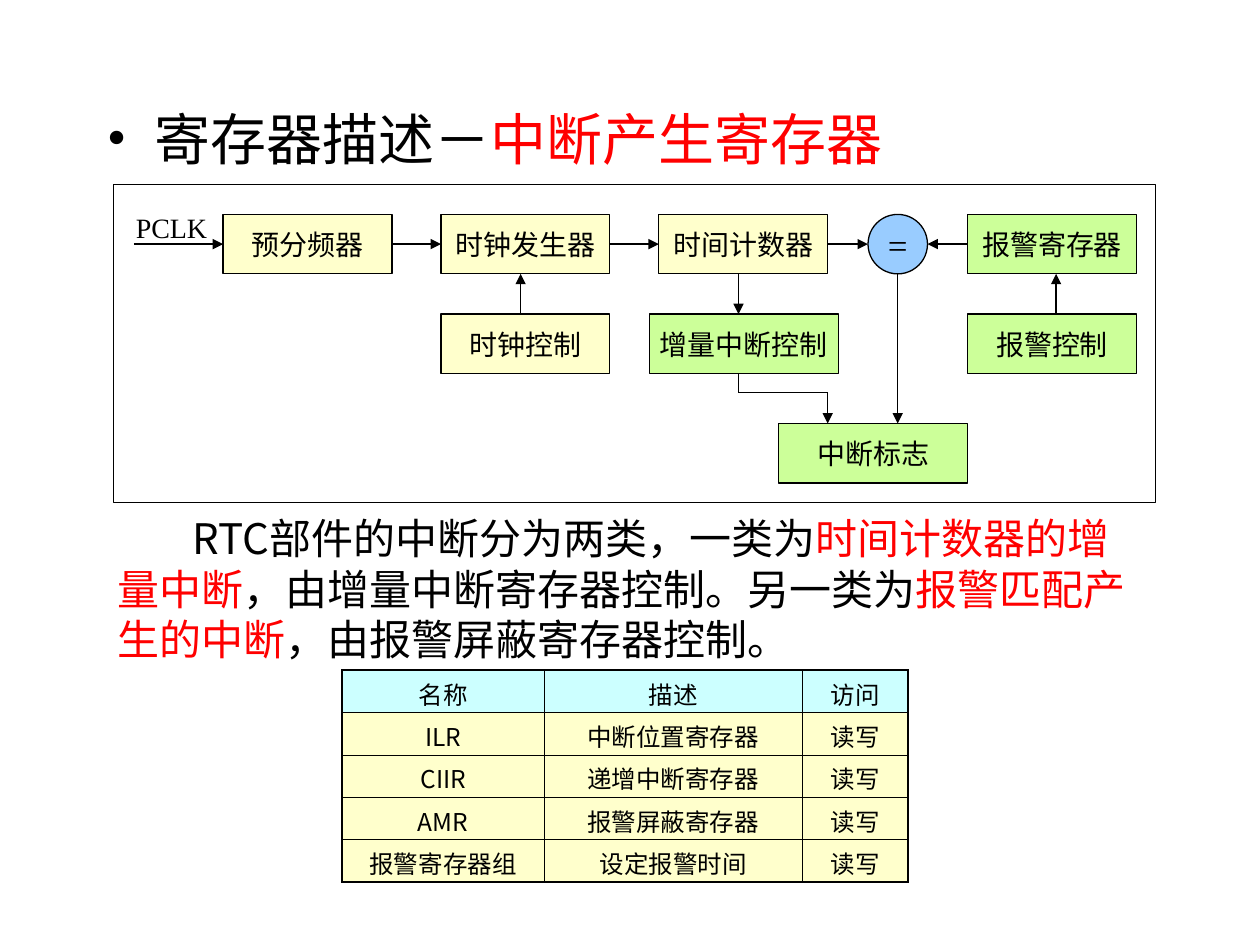
"""Build the slide on the RTC interrupt registers with python-pptx."""
from lxml import etree
from pptx import Presentation
from pptx.dml.color import RGBColor
from pptx.enum.shapes import MSO_CONNECTOR, MSO_SHAPE
from pptx.enum.text import MSO_ANCHOR, PP_ALIGN
from pptx.oxml.ns import qn
from pptx.util import Pt

STRAIGHT = MSO_CONNECTOR.STRAIGHT
RECTANGLE, OVAL = MSO_SHAPE.RECTANGLE, MSO_SHAPE.OVAL
MIDDLE = MSO_ANCHOR.MIDDLE
LEFT, CENTER = PP_ALIGN.LEFT, PP_ALIGN.CENTER
BLACK = RGBColor(0x00, 0x00, 0x00)
RED = RGBColor(0xFF, 0x00, 0x00)
YELLOW = RGBColor(0xFF, 0xFF, 0xCC)
GREEN = RGBColor(0xCC, 0xFF, 0x99)
BLUE = RGBColor(0x99, 0xCC, 0xFF)
CYAN = RGBColor(0xCC, 0xFF, 0xFF)
SERIF, SANS, SANS_BODY = "Times New Roman", "Noto Sans CJK SC", "Noto Sans CJK JP"


def write(frame, spans, font_format, align=LEFT, spacing=None):
    para = frame.paragraphs[0]
    para.alignment = align
    para.line_spacing = spacing
    for text, color in spans:
        span = para.add_run()
        span.text = text
        for name, value in font_format.items():
            setattr(span.font, name, value)
        span.font.color.rgb = color
        east = SANS if font_format["name"] == SERIF else font_format["name"]
        etree.SubElement(span._r.get_or_add_rPr(), qn("a:ea"), typeface=east)
    return para


def draw_line(start, end, arrow=True):
    line = slide.shapes.add_connector(STRAIGHT, *map(Pt, start + end))
    line.line.color.rgb = BLACK
    line.line.width = Pt(0.75)
    if arrow:
        etree.SubElement(line.line._get_or_add_ln(), qn("a:tailEnd"), type="triangle")
    etree.SubElement(line._element.spPr, qn("a:effectLst"))
    return line


deck = Presentation()
deck.slide_width, deck.slide_height = Pt(720), Pt(540)
slide = deck.slides.add_slide(deck.slide_layouts[6])

BOX_WIDTH, WIDE_WIDTH, BOX_HEIGHT = 96.5, 108, 34
TOP_ROW, MIDDLE_ROW, BOTTOM_ROW = 122.5, 179.5, 242
AXIS = TOP_ROW + BOX_HEIGHT / 2
TOP_END, MIDDLE_END = TOP_ROW + BOX_HEIGHT, MIDDLE_ROW + BOX_HEIGHT
PRESCALER, CLOCK, COUNTER, ALARM = 127.5, 252, 376.5, 553
EQUAL = 496

blocks = [
    ("预分频器", RECTANGLE, PRESCALER, TOP_ROW, BOX_WIDTH, YELLOW, 16),
    ("时钟发生器", RECTANGLE, CLOCK, TOP_ROW, BOX_WIDTH, YELLOW, 16),
    ("时间计数器", RECTANGLE, COUNTER, TOP_ROW, BOX_WIDTH, YELLOW, 16),
    ("=", OVAL, EQUAL, TOP_ROW, BOX_HEIGHT, BLUE, 20),
    ("报警寄存器", RECTANGLE, ALARM, TOP_ROW, BOX_WIDTH, GREEN, 16),
    ("时钟控制", RECTANGLE, CLOCK, MIDDLE_ROW, BOX_WIDTH, YELLOW, 16),
    ("增量中断控制", RECTANGLE, 371, MIDDLE_ROW, WIDE_WIDTH, GREEN, 16),
    ("报警控制", RECTANGLE, ALARM, MIDDLE_ROW, BOX_WIDTH, GREEN, 16),
    ("中断标志", RECTANGLE, 445, BOTTOM_ROW, WIDE_WIDTH, GREEN, 16),
    ("", RECTANGLE, 65, 105.5, 595.5, None, 16),
]
boxes = {}
for label, kind, left, top, width, color, size in blocks:
    height = BOX_HEIGHT if label else 181.5
    box = slide.shapes.add_shape(kind, Pt(left), Pt(top), Pt(width), Pt(height))
    box.shadow.inherit = False
    box.line.color.rgb = BLACK
    box.line.width = Pt(0.75)
    if color is None:
        box.fill.background()
        continue
    box.fill.solid()
    box.fill.fore_color.rgb = color
    box.text_frame.word_wrap = False
    box.text_frame.vertical_anchor = MIDDLE
    write(box.text_frame, [(label, BLACK)], {"name": SERIF, "size": Pt(size)}, CENTER)
    boxes[label] = box

flows = [
    (76.5, PRESCALER, None, "预分频器", 1),
    (PRESCALER + BOX_WIDTH, CLOCK, "预分频器", "时钟发生器", 1),
    (CLOCK + BOX_WIDTH, COUNTER, "时钟发生器", "时间计数器", 1),
    (COUNTER + BOX_WIDTH, EQUAL, "时间计数器", None, None),
    (ALARM, EQUAL + BOX_HEIGHT, "报警寄存器", None, None),
]
for start, end, source, target, target_side in flows:
    line = draw_line((start, AXIS), (end, AXIS))
    if source:
        line.begin_connect(boxes[source], 3 if start < end else 1)
    if target:
        line.end_connect(boxes[target], target_side)

INCREMENT, FLAG, BEND = 422, 473, 224.5
for start, end, arrow in [
    ((297.5, MIDDLE_ROW), (297.5, TOP_END), True),
    ((603.5, MIDDLE_ROW), (603.5, TOP_END), True),
    ((INCREMENT, TOP_END), (INCREMENT, MIDDLE_ROW), True),
    ((513, TOP_END), (513, BOTTOM_ROW), True),
    ((INCREMENT, MIDDLE_END), (INCREMENT, BEND), False),
    ((INCREMENT, BEND), (FLAG, BEND), False),
    ((FLAG, BEND), (FLAG, BOTTOM_ROW), True),
]:
    draw_line(start, end, arrow)

texts = [
    ((54, 56, 590, 48), [("寄存器描述－", BLACK), ("中断产生寄存器", RED)], SERIF, 32, 38.4),
    ((70.5, 116.5, 57, 26.5), [("PCLK", BLACK)], SERIF, 16, None),
    ((60, 289.5, 600.5, 93.5), [
        ("RTC部件的中断分为两类，一类为", BLACK),
        ("时间计数器的增量中断", RED),
        ("，由增量中断寄存器控制。另一类为", BLACK),
        ("报警匹配产生的中断", RED),
        ("，由报警屏蔽寄存器控制。", BLACK),
    ], SANS_BODY, 24, 28.8),
]
paras = []
for place, spans, font, size, spacing in texts:
    box = slide.shapes.add_textbox(*map(Pt, place))
    box.text_frame.word_wrap = True
    font_format = {"name": font, "size": Pt(size)}
    paras.append(write(box.text_frame, spans, font_format, LEFT, spacing and Pt(spacing)))

title, _, body = paras
body._p.get_or_add_pPr().set("indent", str(Pt(43)))
properties = title._p.get_or_add_pPr()
properties.set("marL", str(Pt(27)))
properties.set("indent", str(Pt(-27)))
bullet_color = etree.SubElement(properties, qn("a:buClr"))
etree.SubElement(bullet_color, qn("a:srgbClr"), val=str(BLACK))
etree.SubElement(properties, qn("a:buFont"), typeface=SERIF)
etree.SubElement(properties, qn("a:buChar"), char="•")

rows = [
    ("名称", "描述", "访问"),
    ("ILR", "中断位置寄存器", "读写"),
    ("CIIR", "递增中断寄存器", "读写"),
    ("AMR", "报警屏蔽寄存器", "读写"),
    ("报警寄存器组", "设定报警时间", "读写"),
]
column_widths = [115.5, 147.5, 60.5]
ROW_HEIGHT = 24.2
table = slide.shapes.add_table(
    len(rows), len(column_widths), Pt(195.5), Pt(383),
    Pt(sum(column_widths)), Pt(ROW_HEIGHT * len(rows))).table
table.horz_banding = False
for column, width in zip(table.columns, column_widths):
    column.width = Pt(width)
cell_format = {"margin_top": Pt(6.6), "margin_bottom": Pt(0.6), "vertical_anchor": MIDDLE}
for row_index, row in enumerate(rows):
    table.rows[row_index].height = Pt(ROW_HEIGHT)
    for column_index, text in enumerate(row):
        cell = table.cell(row_index, column_index)
        for name, value in cell_format.items():
            setattr(cell, name, value)
        cell.fill.solid()
        cell.fill.fore_color.rgb = YELLOW if row_index else CYAN
        font_format = {"name": SANS, "size": Pt(14), "bold": False}
        write(cell.text_frame, [(text, BLACK)], font_format, CENTER, Pt(16.8))
        outer_edges = {
            "a:lnL": column_index == 0,
            "a:lnR": column_index == len(row) - 1,
            "a:lnT": row_index == 0,
            "a:lnB": row_index == len(rows) - 1,
        }
        cell_properties = cell._tc.get_or_add_tcPr()
        for position, (tag, outer) in enumerate(outer_edges.items()):
            width = Pt(1.08 if outer else 0.45)
            border = etree.Element(qn(tag), w=str(width))
            border_fill = etree.SubElement(border, qn("a:solidFill"))
            etree.SubElement(border_fill, qn("a:srgbClr"), val=str(BLACK))
            cell_properties.insert(position, border)

deck.save("out.pptx")
